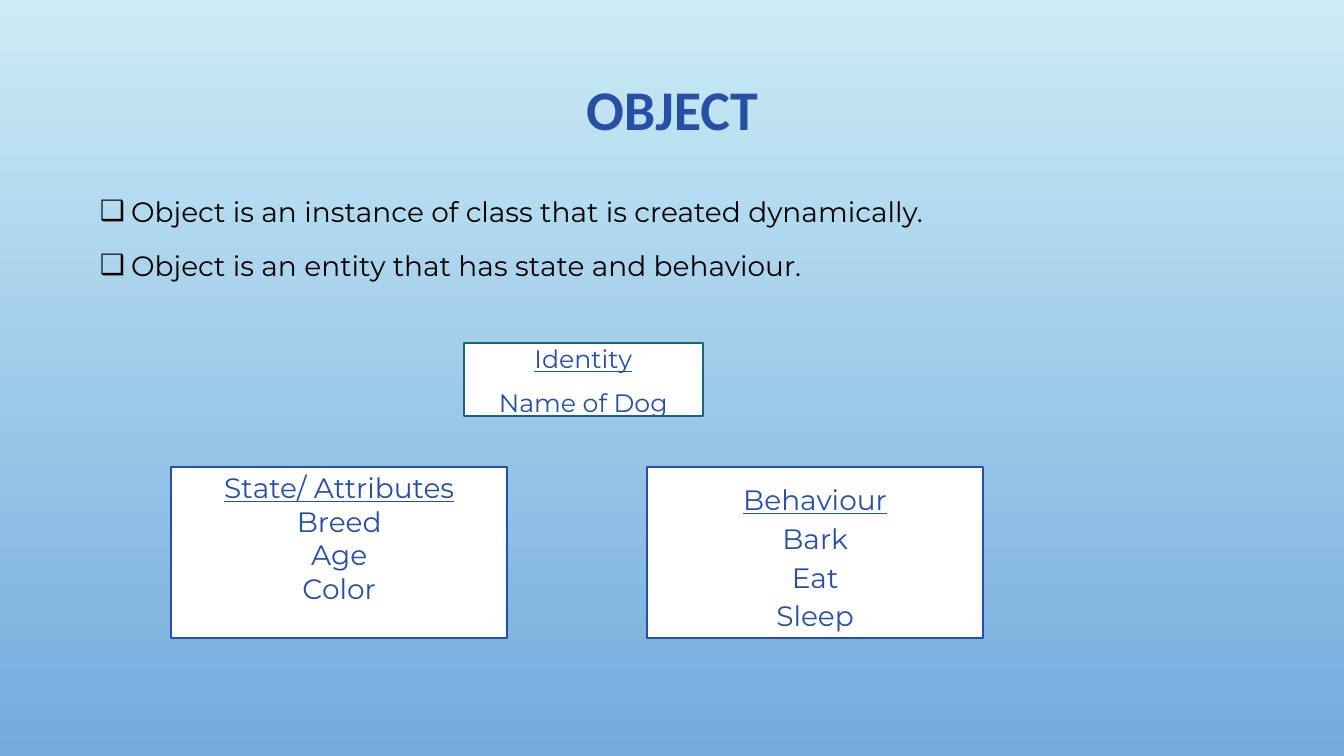
from lxml.etree import SubElement
from pptx import Presentation
from pptx.dml.color import RGBColor
from pptx.enum.shapes import MSO_SHAPE
from pptx.enum.text import MSO_ANCHOR, MSO_AUTO_SIZE, PP_ALIGN
from pptx.oxml.ns import qn
from pptx.util import Inches, Pt

COLORS = {
    "sky": "CBECF5",
    "deep": "73ABDD",
    "blue": "274FA4",
    "teal": "1C647B",
    "white": "FFFFFF",
    "black": "000000",
}


def color(name):
    return RGBColor.from_string(COLORS[name])


def set_values(target, values):
    for name, value in values.items():
        setattr(target, name, value)


def place(shape, box):
    names = ("left", "top", "width", "height")
    set_values(shape, dict(zip(names, map(Inches, box))))


def write(frame, lines, font, paragraph_format, color_name):
    for index, line in enumerate(lines):
        paragraph = frame.add_paragraph() if index else frame.paragraphs[0]
        set_values(paragraph, paragraph_format)
        run = paragraph.add_run()
        run.text = line
        set_values(run.font, font)
        run.font.color.rgb = color(color_name)


def paint_background(slide):
    fill = slide.background.fill
    fill.gradient()
    fill.gradient_angle = 270
    for stop, name, position in zip(fill.gradient_stops, ("sky", "deep"), (0, 1)):
        stop.color.rgb = color(name)
        stop.position = position


def add_title(slide, box, text):
    title = slide.shapes.title
    place(title, box)
    set_values(title.text_frame, {"vertical_anchor": MSO_ANCHOR.MIDDLE, "word_wrap": True})
    write(title.text_frame, [text],
          {"name": "Calibri", "size": Pt(40), "bold": True},
          {"alignment": PP_ALIGN.CENTER, "line_spacing": 0.9}, "blue")


def add_definitions(slide, box, lines):
    body = slide.placeholders[1]
    place(body, box)
    frame = body.text_frame
    set_values(frame, {"vertical_anchor": MSO_ANCHOR.TOP, "word_wrap": True,
                       "auto_size": MSO_AUTO_SIZE.NONE})
    write(frame, lines, {"name": "Montserrat", "size": Pt(20)},
          {"alignment": PP_ALIGN.LEFT, "line_spacing": 1.2, "space_before": Pt(10)}, "black")
    indent = Inches(0.31)
    for paragraph in frame.paragraphs:
        properties = paragraph._p.get_or_add_pPr()
        properties.set("marL", str(indent))
        properties.set("indent", str(-indent))
        bullet_color = SubElement(properties, qn("a:buClr"))
        SubElement(bullet_color, qn("a:srgbClr"), val=COLORS["black"])
        SubElement(properties, qn("a:buFont"), typeface="Calibri")
        SubElement(properties, qn("a:buChar"), char="\u2751")


def add_card(slide, box, lines, size=20, line="blue", margins=(0.05, 0.05), spacing=None):
    card = slide.shapes.add_shape(MSO_SHAPE.RECTANGLE, *map(Inches, box))
    card.shadow.inherit = False
    card.fill.solid()
    card.fill.fore_color.rgb = color("white")
    card.line.color.rgb = color(line)
    card.line.width = Pt(1.25)
    frame = card.text_frame
    top, bottom = map(Inches, margins)
    set_values(frame, {"vertical_anchor": MSO_ANCHOR.MIDDLE, "word_wrap": True,
                       "margin_top": top, "margin_bottom": bottom})
    write(frame, lines, {"name": "Montserrat", "size": Pt(size)},
          {"alignment": PP_ALIGN.CENTER, **(spacing or {})}, "blue")
    frame.paragraphs[0].runs[0].font.underline = True


def add_dog_example(slide, box):
    left, top, width, height = box
    card_width, card_height = 3.33, 1.7
    card_top = top + height - card_height
    add_card(slide, (left, card_top, card_width, card_height),
             ["State/ Attributes", "Breed", "Age", "Color"], margins=(0.05, 0.34))
    add_card(slide, (left + width - card_width, card_top, card_width, card_height),
             ["Behaviour", "Bark", "Eat", "Sleep"], margins=(0.08, 0),
             spacing={"line_spacing": 1.07, "space_after": Pt(2)})
    add_card(slide, (left + 2.9, top, 2.37, 0.73), ["Identity", "Name of Dog"],
             size=18, line="teal", spacing={"line_spacing": 1.07, "space_after": Pt(8)})


presentation = Presentation()
set_values(presentation, {"slide_width": Inches(13.33), "slide_height": Inches(7.5)})
slide = presentation.slides.add_slide(presentation.slide_layouts[1])
paint_background(slide)
add_title(slide, (1, 0.68, 11.33, 0.86), "OBJECT")
add_definitions(slide, (0.89, 1.81, 11.45, 4.93), [
    "Object is an instance of class that is created dynamically.",
    "Object is an entity that has state and behaviour.",
])
add_dog_example(slide, (1.7, 3.4, 8.05, 2.93))
presentation.save("out.pptx")
